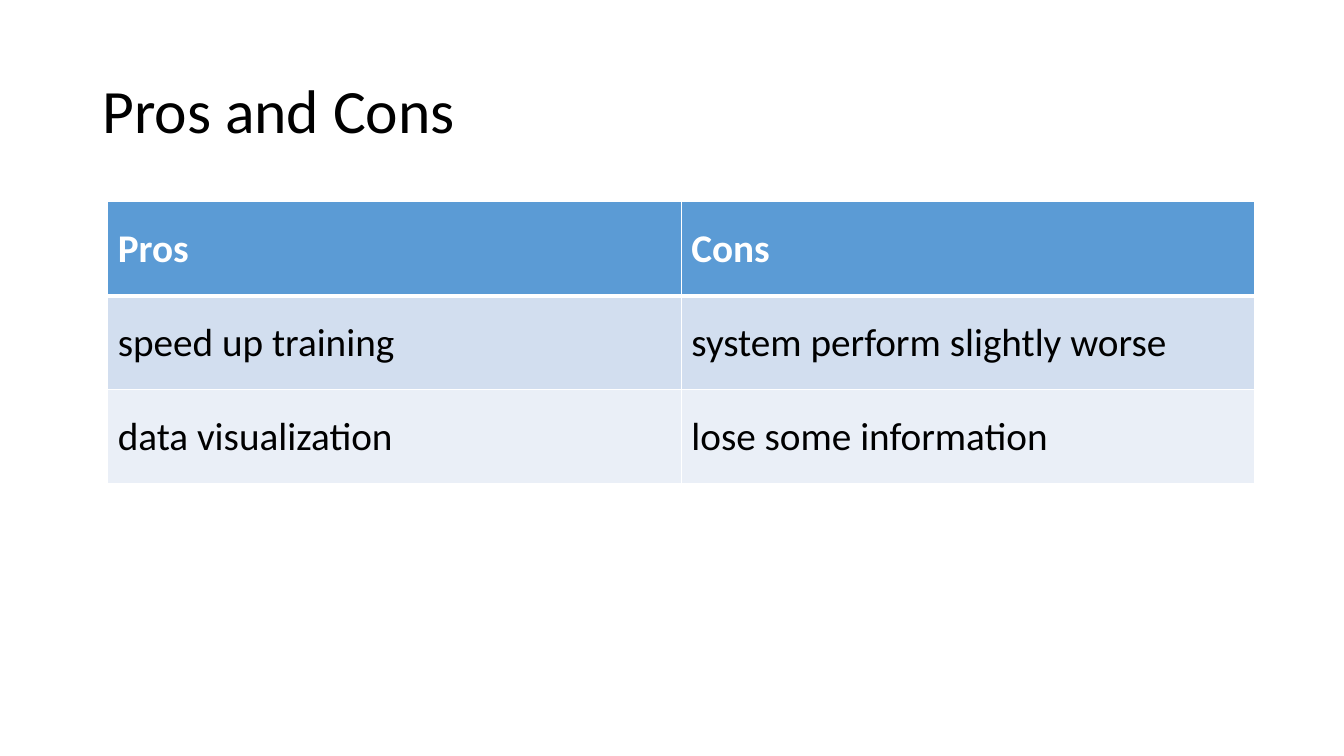
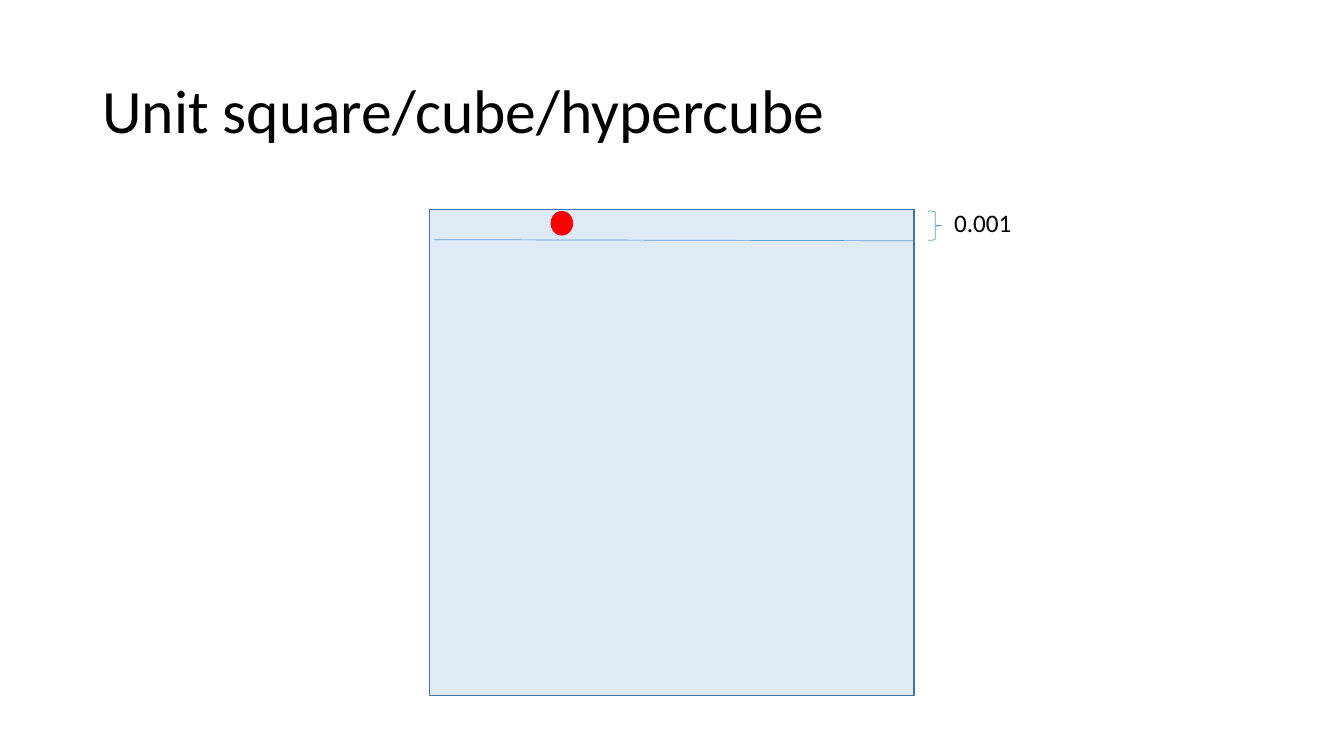
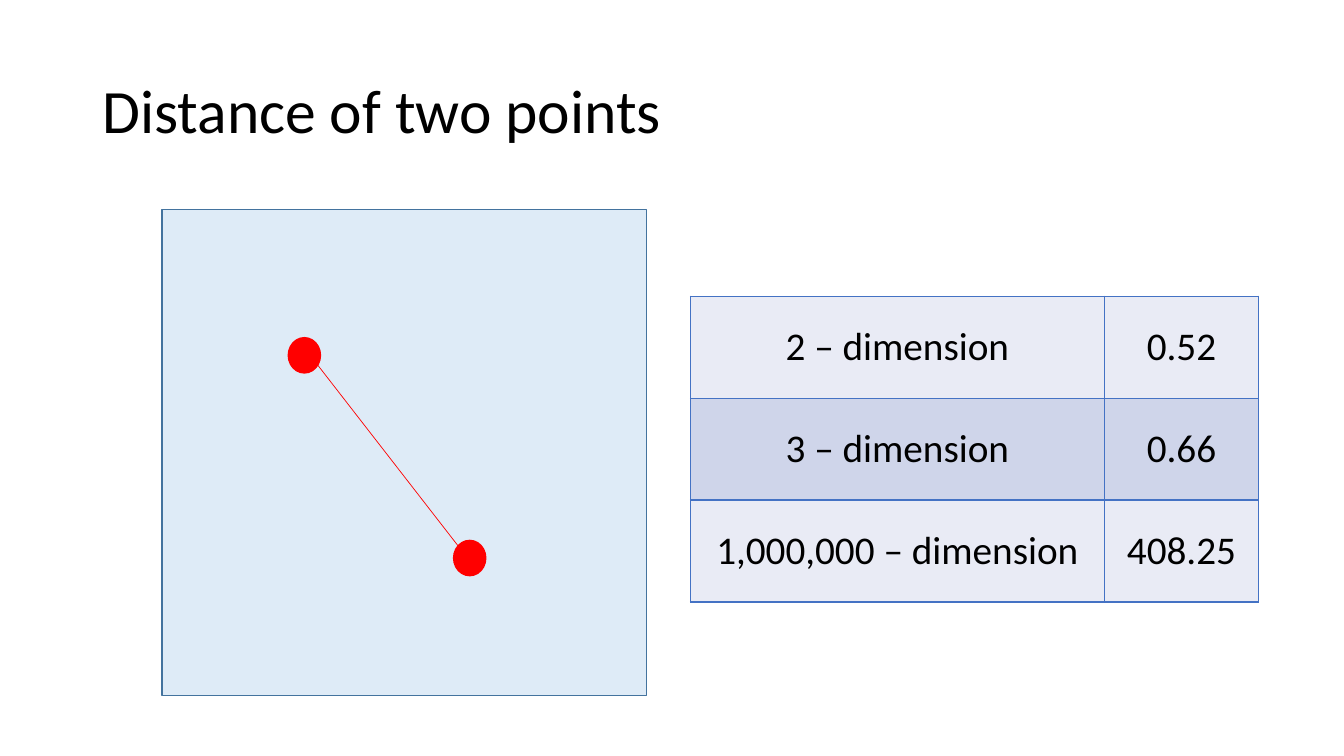
import lxml.etree
import pptx
import pptx.dml.color
import pptx.enum.shapes
import pptx.enum.text
import pptx.oxml.ns
import pptx.util

Pt = pptx.util.Pt
SHAPES = pptx.enum.shapes.MSO_SHAPE
ALIGN = pptx.enum.text.PP_ALIGN
MIDDLE = pptx.enum.text.MSO_ANCHOR.MIDDLE
qn = pptx.oxml.ns.qn

FONT = "Calibri"
COLORS = {
    "text": "000000",
    "white": "FFFFFF",
    "accent": "5B9BD5",
    "square": "DEEBF7",
    "square_line": "43739E",
    "point": "FF0000",
    "blue_band_dark": "D2DEEF",
    "blue_band_light": "EAEFF7",
    "grid": "4472C4",
    "grid_band_light": "E9EBF5",
    "grid_band_dark": "CFD5EA",
}

TITLE_BOX = (66, 28.8, 828, 104.4)
SQUARE_TOP, SQUARE_WIDTH, SQUARE_HEIGHT = 149.6, 346.3, 347

PROS_AND_CONS = [
    ("Pros", "Cons"),
    ("speed up training", "system perform slightly worse"),
    ("data visualization", "lose some information"),
]
DISTANCES = [
    ("2 – dimension", "0.52"),
    ("3 – dimension", "0.66"),
    ("1,000,000 – dimension", "408.25"),
]
STRIP_HEIGHT = "0.001"
STRIP_POINT = (393.8, 151.2, 15.1, 16.6)
DISTANT_POINTS = [(205.9, 241.2, 23, 25.2), (324, 386, 23, 25.2)]


def rgb(name):
    return pptx.dml.color.RGBColor.from_string(COLORS[name])


def points(values):
    return [Pt(value) for value in values]


def write(frame, text, size, color="text", bold=False, align=ALIGN.LEFT):
    paragraph = frame.paragraphs[0]
    paragraph.text = text
    paragraph.alignment = align
    font = paragraph.font
    font.name, font.size, font.bold = FONT, Pt(size), bold
    font.color.rgb = rgb(color)
    return paragraph


def add_text(slide, box, text, size, **style):
    frame = slide.shapes.add_textbox(*points(box)).text_frame
    frame.word_wrap = True
    return frame, write(frame, text, size, **style)


def add_titled_slide(presentation, title):
    slide = presentation.slides.add_slide(presentation.slide_layouts[6])
    frame, paragraph = add_text(slide, TITLE_BOX, title, 44)
    frame.vertical_anchor = MIDDLE
    paragraph.line_spacing = 0.9
    return slide


def add_shape(slide, kind, box, line, width=1, fill=None):
    shape = slide.shapes.add_shape(kind, *points(box))
    shape.shadow.inherit = False
    if fill:
        shape.fill.solid()
        shape.fill.fore_color.rgb = rgb(fill)
    else:
        shape.fill.background()
    shape.line.color.rgb = rgb(line)
    shape.line.width = Pt(width)


def add_square(slide, left):
    box = (left, SQUARE_TOP, SQUARE_WIDTH, SQUARE_HEIGHT)
    add_shape(slide, SHAPES.RECTANGLE, box, "square_line", fill="square")


def add_point(slide, box):
    add_shape(slide, SHAPES.OVAL, box, "point", fill="point")


def add_line(slide, start, end, color):
    line = slide.shapes.add_connector(
        pptx.enum.shapes.MSO_CONNECTOR.STRAIGHT, *points(start + end))
    line.line.color.rgb = rgb(color)
    line.line.width = Pt(0.5)
    lxml.etree.SubElement(line._element.spPr, qn("a:effectLst"))


def set_borders(cell, color, widths):
    """Draw the cell's left, right, top and bottom edges."""
    properties = cell._tc.get_or_add_tcPr()
    for side, width in zip("LRTB", widths):
        edge = lxml.etree.SubElement(properties, qn(f"a:ln{side}"), w=str(Pt(width)))
        fill = lxml.etree.SubElement(edge, qn("a:solidFill"))
        lxml.etree.SubElement(fill, qn("a:srgbClr"), val=COLORS[color])


def add_table(slide, position, widths, row_height, rows, fills, border,
              header=False, align=ALIGN.LEFT):
    size = (sum(widths), row_height * len(rows))
    table = slide.shapes.add_table(
        len(rows), len(widths), *points(position + size)).table
    table.first_row = table.horz_banding = False
    for column, width in zip(table.columns, widths):
        column.width = Pt(width)
    for row_index, texts in enumerate(rows):
        is_header = header and row_index == 0
        top = 3 if header and row_index == 1 else 1
        bottom = 3 if is_header else 1
        for column_index, text in enumerate(texts):
            cell = table.cell(row_index, column_index)
            cell.vertical_anchor = MIDDLE
            write(cell.text_frame, text, 28, "white" if is_header else "text",
                  is_header, align)
            set_borders(cell, border, (1, 1, top, bottom))
            cell.fill.solid()
            cell.fill.fore_color.rgb = rgb(fills[row_index])


def build_pros_and_cons(presentation):
    slide = add_titled_slide(presentation, "Pros and Cons")
    add_table(slide, (77, 144), (409.7, 409.7), 67.2, PROS_AND_CONS,
              ("accent", "blue_band_dark", "blue_band_light"), "white", header=True)


def build_unit_square(presentation):
    slide = add_titled_slide(presentation, "Unit square/cube/hypercube")
    add_square(slide, 306.7)
    add_point(slide, STRIP_POINT)
    add_line(slide, (310.3, 171.2), (653, 172), "accent")
    add_shape(slide, SHAPES.RIGHT_BRACE, (663, 150.7, 10, 21), "accent", 0.5)
    add_text(slide, (594, 144.7, 216, 29), STRIP_HEIGHT, 18, align=ALIGN.CENTER)


def build_distances(presentation):
    slide = add_titled_slide(presentation, "Distance of two points")
    add_square(slide, 115.7)
    for box in DISTANT_POINTS:
        add_point(slide, box)
    add_line(slide, (226.8, 260.6), (337, 402.5), "point")
    add_table(slide, (493.2, 211.6), (295.5, 110.5), 72.8, DISTANCES,
              ("grid_band_light", "grid_band_dark", "grid_band_light"), "grid",
              align=ALIGN.CENTER)


def main():
    presentation = pptx.Presentation()
    presentation.slide_width, presentation.slide_height = Pt(960), Pt(540)
    build_pros_and_cons(presentation)
    build_unit_square(presentation)
    build_distances(presentation)
    presentation.save("out.pptx")


if __name__ == "__main__":
    main()
